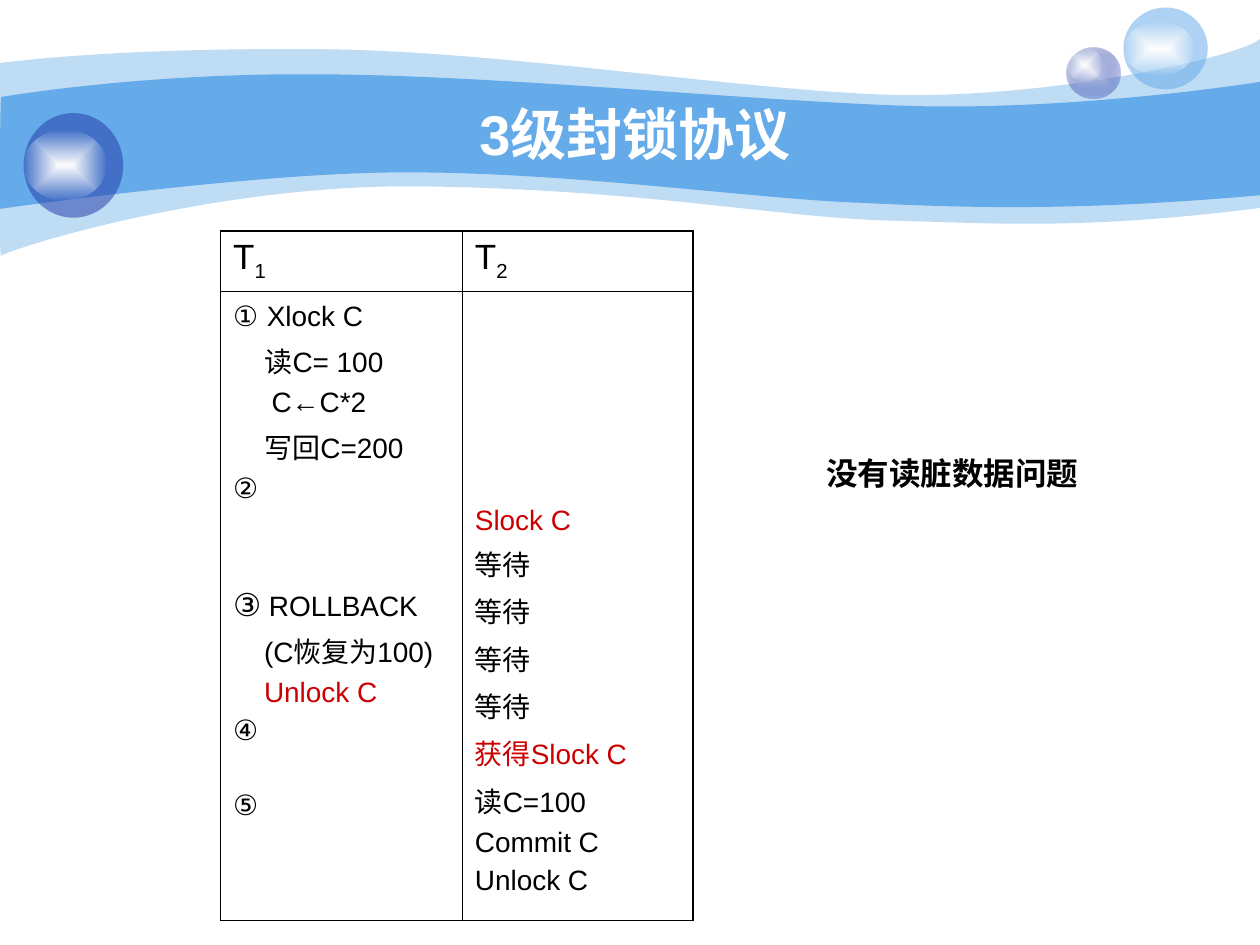
"""Build the slide on the level-3 locking protocol."""
from dataclasses import dataclass, field
from typing import NamedTuple

from lxml import etree
from pptx import Presentation
from pptx import util as u
from pptx.dml.color import RGBColor
from pptx.enum import shapes, text
from pptx.oxml import ns

Point = tuple[float, float]


@dataclass(frozen=True)
class Theme:
    """Colours, fonts and type sizes."""
    sky: str = "65AAE9"
    navy: str = "233DA9"
    mist: str = "C7CEE9"
    white: str = "FFFFFF"
    ink: str = "000000"
    lock: str = "CC0000"
    sans: str = "Arial"
    serif: str = "Times New Roman"
    title: float = 32
    header: float = 20
    large: float = 18
    step: float = 16
    outer_line: float = 1.08
    inner_line: float = 0.45


THEME = Theme()


class Box(NamedTuple):
    """Left, top, width and height in points."""
    left: float
    top: float
    width: float
    height: float

    def lengths(self) -> list[u.Length]:
        """Return the four values as lengths."""
        return [u.Pt(value) for value in self]


class Stop(NamedTuple):
    """A colour with its opacity in percent."""
    color: str
    opacity: int = 100


class Orb(NamedTuple):
    """An ellipse with one stop, or two from centre to edge."""
    box: Box
    stops: tuple[Stop, ...]


class Band(NamedTuple):
    """A wave: a start, then lines (one point) and curves (three points)."""
    start: Point
    segments: tuple[tuple[Point, ...], ...]
    stop: Stop


@dataclass(frozen=True)
class Span:
    """A stretch of text in one format."""
    words: str
    size: float = THEME.step
    color: str = THEME.ink
    font: str = THEME.sans
    bold: bool = False
    baseline: int = 0


@dataclass(frozen=True)
class Line:
    """A paragraph with its indent and space before."""
    spans: tuple[Span, ...]
    indent: float = 0
    before: float = 4
    align: text.PP_ALIGN = text.PP_ALIGN.JUSTIFY


@dataclass(frozen=True)
class Cell:
    """A table cell with its lines and top margin."""
    lines: list[Line] = field(default_factory=list)
    top: float = 3.6


def step(words: str, indent: float = 0, before: float = 4, color: str = THEME.ink) -> Line:
    """Return one step of a transaction."""
    return Line((Span(words, color=color),), indent, before)


def header(index: str) -> Cell:
    """Return the heading cell of a transaction."""
    spans = (Span("T", THEME.header), Span(index, THEME.header, baseline=-25000))
    return Cell([Line(spans, align=text.PP_ALIGN.LEFT)], 4)


GLOW = (Stop(THEME.white), Stop(THEME.white, 0))
BANDS = [
    Band((0, 36), (
        ((17.3, 33.8), (77, 27.4), (177.8, 28.1)), ((277.9, 28.1), (414, 50.4), (503.3, 54)),
        ((591.8, 57.6), (705.6, 33.8), (720, 22.3)), ((720, 118.8),),
        ((617.8, 131.8), (566.6, 127.4), (507.6, 126)), ((447.8, 124.6), (370.8, 108.7), (247, 106.6)),
        ((123.8, 103.7), (2.9, 143.3), (0.7, 146.2)), ((-0.7, 149.8), (0, 54), (0, 36))),
         Stop(THEME.sky, 41)),
    Band((0.7, 55.4), (
        ((1.4, 55.4), (79.2, 41.8), (178.6, 42.5)), ((277.9, 42.5), (428.4, 57.6), (517, 60.5)),
        ((605.5, 63.4), (702.7, 49.7), (720, 46.8)), ((720, 111.6),),
        ((614.2, 121), (550.8, 118.8), (491, 115.9)), ((431.3, 113.8), (321.8, 97.9), (228.2, 98.6)),
        ((146.2, 98.6), (-1.4, 119.5), (-0.7, 119.5)), ((0, 119.5), (0, 55.4), (0.7, 55.4))),
         Stop(THEME.sky)),
]
ORBS = [
    Orb(Box(609.8, 27.4, 30.2, 28.8), (Stop(THEME.mist), Stop(THEME.navy, 31))),
    Orb(Box(609.8, 27.4, 20.2, 19.4), GLOW),
    Orb(Box(642, 4.3, 48.2, 46.8), (Stop(THEME.sky, 53),)),
    Orb(Box(642, 12.2, 40.3, 31), GLOW),
    Orb(Box(13.5, 64.6, 56.9, 59.8), (Stop(THEME.navy, 53),)),
    Orb(Box(13.5, 74.2, 47.5, 40.3), GLOW),
]
WRITER = Cell([
    Line((Span("①"), Span(" ", THEME.large), Span("Xlock C"))),
    step("读C= 100", 18), step("C←C*2", 22), step("写回C=200", 18), step("②"),
    Line((Span("③", THEME.large), Span(" ROLLBACK")), before=47.6),
    step("(C恢复为100)", 17.7), step("Unlock C", 17.7, color=THEME.lock),
    step("④"), step("⑤", before=25.3),
])
READER = Cell([
    step("Slock C", color=THEME.lock), *[step("等待")] * 4,
    step("获得Slock C", color=THEME.lock),
    step("读C=100"), step("Commit C"), step("Unlock C"),
], top=121.9)
SCHEDULE = [[header("1"), header("2")], [WRITER, READER]]
COLUMNS, ROWS = (138.2, 131.8), (34.6, 359.3)


def color_xml(stop: Stop) -> str:
    """Return the markup of a colour with opacity."""
    return f'<a:srgbClr val="{stop.color}"><a:alpha val="{stop.opacity * 1000}"/></a:srgbClr>'


def paint(shape, stops: tuple[Stop, ...]) -> None:
    """Fill a shape with a colour or a rectangular gradient, without outline."""
    shape.shadow.inherit = False
    shape.line.fill.background()
    shape.fill.background()
    tag, body = "solidFill", color_xml(stops[0])
    if len(stops) > 1:
        marks = "".join(f'<a:gs pos="{i * 100000}">{color_xml(s)}</a:gs>' for i, s in enumerate(stops))
        center = " ".join(f'{side}="50000"' for side in "ltrb")
        tag = "gradFill"
        body = f'<a:gsLst>{marks}</a:gsLst><a:path path="rect"><a:fillToRect {center}/></a:path>'
    fill = etree.fromstring(f'<a:{tag} {ns.nsdecls("a")}>{body}</a:{tag}>')
    properties = shape._element.spPr
    properties.replace(properties.find(ns.qn("a:noFill")), fill)


def draw_band(slide, band: Band) -> None:
    """Draw one wave, turning its three-point segments into curves."""
    builder = slide.shapes.build_freeform(*map(u.Pt, band.start))
    ends = [tuple(map(u.Pt, segment[-1])) for segment in band.segments]
    builder.add_line_segments(ends, close=True)
    wave = builder.convert_to_shape()
    sides = list(wave._element.iter(ns.qn("a:lnTo")))
    for side, segment in zip(sides, band.segments):
        if len(segment) == 3:
            points = "".join(f'<a:pt x="{u.Pt(x) - wave.left}" y="{u.Pt(y) - wave.top}"/>'
                             for x, y in segment)
            curve = f'<a:cubicBezTo {ns.nsdecls("a")}>{points}</a:cubicBezTo>'
            side.getparent().replace(side, etree.fromstring(curve))
    paint(wave, (band.stop,))


def write(frame, lines: list[Line]) -> None:
    """Write the lines into a text frame."""
    for number, line in enumerate(lines):
        paragraph = frame.add_paragraph() if number else frame.paragraphs[0]
        paragraph.alignment = line.align
        paragraph.space_before = u.Pt(line.before if number else 0)
        paragraph._p.get_or_add_pPr().set("marL", str(u.Pt(line.indent)))
        for span in line.spans:
            run = paragraph.add_run()
            run.text = span.words
            formats = {"name": span.font, "size": u.Pt(span.size), "bold": span.bold}
            for key, value in formats.items():
                setattr(run.font, key, value)
            run.font.color.rgb = RGBColor.from_string(span.color)
            if span.baseline:
                run._r.get_or_add_rPr().set("baseline", str(span.baseline))


def draw_label(slide, box: Box, span: Span, wrap: bool) -> None:
    """Draw a centred label."""
    frame = slide.shapes.add_textbox(*box.lengths()).text_frame
    for key, value in {"word_wrap": wrap, "vertical_anchor": text.MSO_ANCHOR.MIDDLE}.items():
        setattr(frame, key, value)
    write(frame, [Line((span,), align=text.PP_ALIGN.CENTER)])


def draw_schedule(slide, left: float, top: float) -> None:
    """Draw the two-transaction schedule."""
    box = Box(left, top, sum(COLUMNS), sum(ROWS))
    table = slide.shapes.add_table(len(ROWS), len(COLUMNS), *box.lengths()).table
    table.first_row = table.horz_banding = False
    for column, width in zip(table.columns, COLUMNS):
        column.width = u.Pt(width)
    for r, (row, height) in enumerate(zip(table.rows, ROWS)):
        row.height = u.Pt(height)
        for c, content in enumerate(SCHEDULE[r]):
            cell = row.cells[c]
            cell.fill.background()
            cell.margin_top = u.Pt(content.top)
            write(cell.text_frame, content.lines)
            outer = {"L": c == 0, "R": c == len(COLUMNS) - 1, "T": r == 0, "B": r == len(ROWS) - 1}
            for place, (side, edge) in enumerate(outer.items()):
                width = u.Pt(THEME.outer_line if edge else THEME.inner_line)
                border = etree.fromstring(
                    f'<a:ln{side} {ns.nsdecls("a")} w="{width}"><a:solidFill>'
                    f'{color_xml(Stop(THEME.ink))}</a:solidFill></a:ln{side}>')
                cell._tc.get_or_add_tcPr().insert(place, border)


def main() -> None:
    """Build and save the slide."""
    deck = Presentation()
    deck.slide_width, deck.slide_height = u.Pt(720), u.Pt(540)
    slide = deck.slides.add_slide(deck.slide_layouts[6])
    for band in BANDS:
        draw_band(slide, band)
    for orb in ORBS:
        paint(slide.shapes.add_shape(shapes.MSO_SHAPE.OVAL, *orb.box.lengths()), orb.stops)
    draw_label(slide, Box(72, 54, 581.8, 44.6),
               Span("3级封锁协议", THEME.title, THEME.white, bold=True), True)
    draw_schedule(slide, 126, 131.8)
    draw_label(slide, Box(444.2, 246.2, 203.8, 48.2),
               Span("没有读脏数据问题 ", THEME.large, font=THEME.serif, bold=True), False)
    deck.save("out.pptx")


if __name__ == "__main__":
    main()
